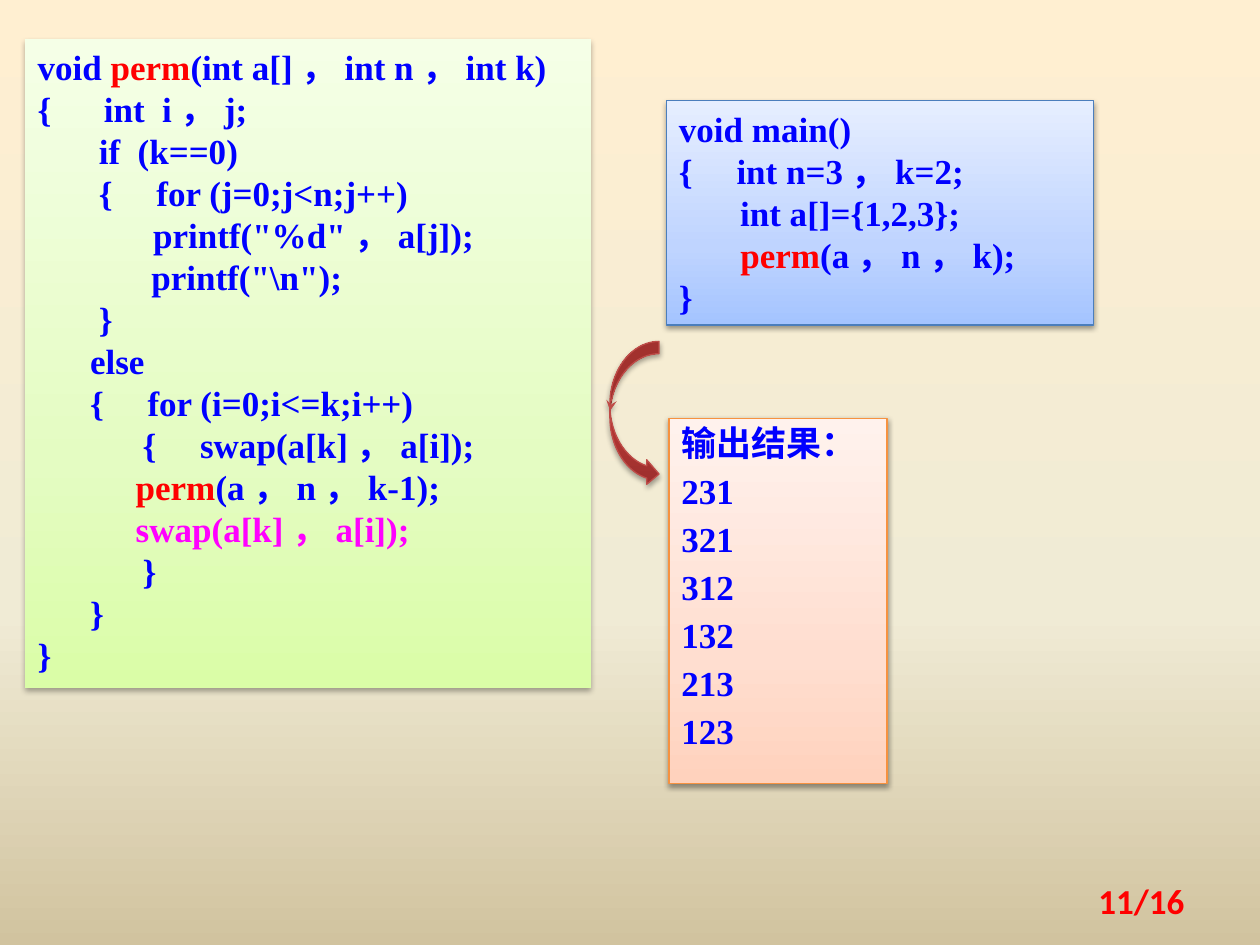
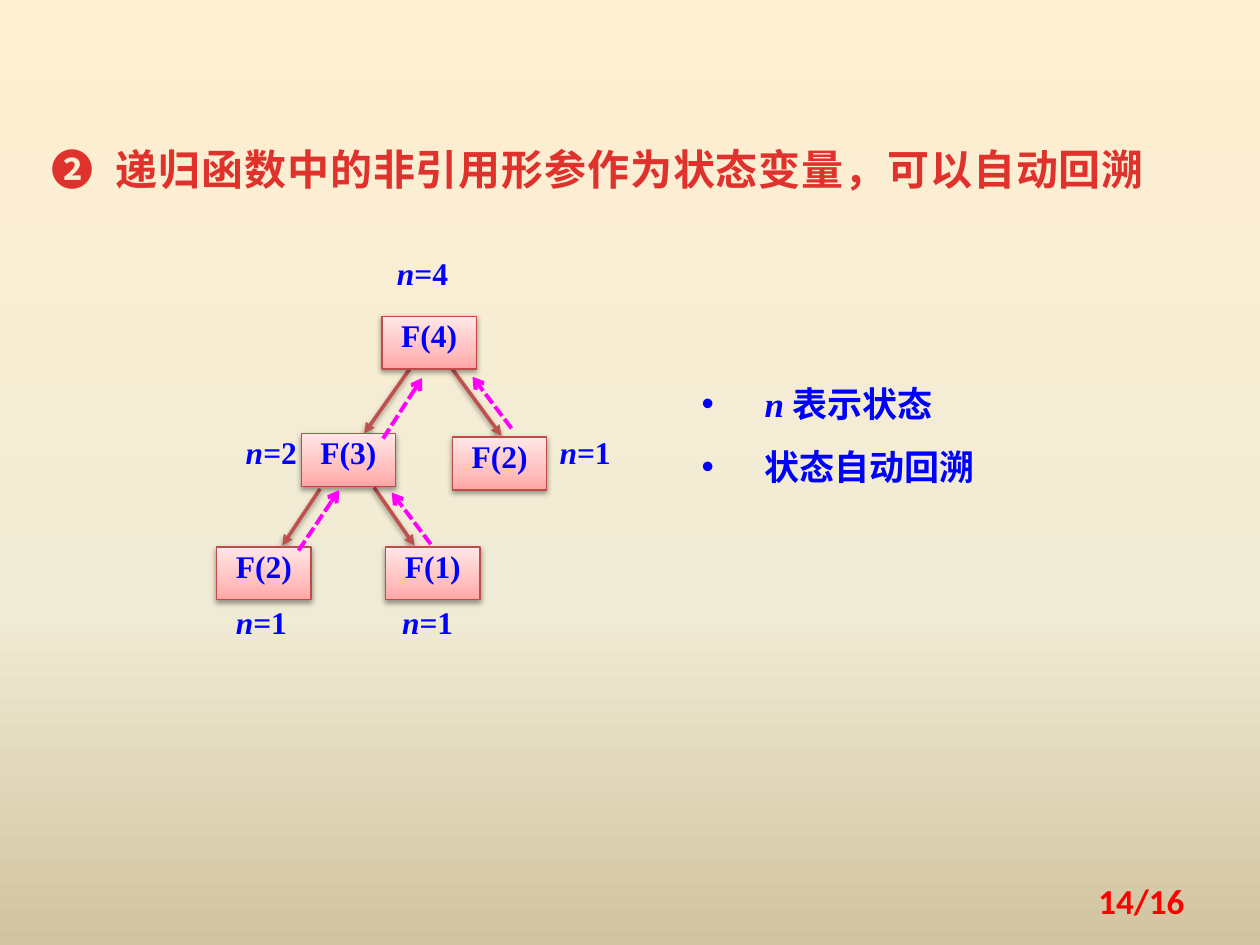
"""Build two slides on recursive permutation and automatic backtracking."""
from dataclasses import dataclass
from typing import Any, NamedTuple, Optional

from lxml.etree import SubElement
from pptx import Presentation
from pptx.dml.color import RGBColor
from pptx.enum.dml import MSO_LINE_DASH_STYLE as Dash
from pptx.enum.shapes import MSO_CONNECTOR as Connector, MSO_SHAPE as Preset
from pptx.enum.text import MSO_ANCHOR as Anchor, PP_ALIGN as Align
from pptx.oxml import parse_xml
from pptx.oxml.ns import nsdecls, qn
from pptx.util import Pt

BLUE = RGBColor(0x00, 0x00, 0xFF)
RED = RGBColor(0xFF, 0x00, 0x00)
MAGENTA = RGBColor(0xFF, 0x00, 0xFF)
TITLE_RED = RGBColor(0xE0, 0x32, 0x2D)
EDGE_RED = RGBColor(0xC0, 0x50, 0x4D)
BORDER_RED = RGBColor(0xBF, 0x4C, 0x48)
BORDER_BLUE = RGBColor(0x4B, 0x7E, 0xBC)
BORDER_ORANGE = RGBColor(0xF6, 0x92, 0x40)
SERIF, SANS, CHINESE = "Times New Roman", "Calibri", "Noto Sans CJK SC"
PAGE_COUNT = 16


class Box(NamedTuple):
    """Left, top, width and height in points."""
    left: float
    top: float
    width: float
    height: float


class Gradient(NamedTuple):
    """Three colours, the place of the middle one, and the angle."""
    first: RGBColor
    middle: RGBColor
    last: RGBColor
    percent: int = 35
    angle: int = 270


class Shadow(NamedTuple):
    """Opacity in percent, blur and downward distance in points."""
    opacity: int = 38
    blur: float = 3.1
    distance: float = 1.6


class Run(NamedTuple):
    """A stretch of text with one colour and slant."""
    text: str
    color: RGBColor = BLUE
    italic: bool = False


class Arrow(NamedTuple):
    """An arrow from its start to its end, in points."""
    start_x: float
    start_y: float
    end_x: float
    end_y: float


class Label(NamedTuple):
    """A caption with its left and top in points."""
    text: str
    left: float
    top: float


@dataclass(frozen=True)
class TextStyle:
    """How the text of a box is set."""
    size: float = 20
    font: str = SERIF
    align: Align = Align.LEFT
    anchor: Anchor = Anchor.TOP
    spacing: Any = 1.0
    space_before: float = 0
    inset_x: float = 7.2
    inset_y: float = 3.6
    hanging: float = 0
    bullet: str = ""
    tracking: int = 0
    wrap: bool = True


@dataclass(frozen=True)
class Panel:
    """A shaded shape, with or without text."""
    box: Box
    fill: Gradient
    border: Optional[RGBColor] = None
    shadow: Shadow = Shadow()
    preset: Preset = Preset.RECTANGLE


BACKGROUND = Gradient(RGBColor(0xFF, 0xEF, 0xD1), RGBColor(0xF0, 0xEB, 0xD5),
                      RGBColor(0xD1, 0xC3, 0x9F), 65, 90)
GREEN_FILL = Gradient(RGBColor(0xDA, 0xFD, 0xA7), RGBColor(0xE4, 0xFC, 0xC2), RGBColor(0xF5, 0xFF, 0xE7))
BLUE_FILL = Gradient(RGBColor(0xA4, 0xC4, 0xFF), RGBColor(0xBF, 0xD4, 0xFF), RGBColor(0xE6, 0xEE, 0xFF))
ORANGE_FILL = Gradient(RGBColor(0xFF, 0xD2, 0xBD), RGBColor(0xFF, 0xDE, 0xD0), RGBColor(0xFF, 0xF2, 0xED))
PINK_FILL = Gradient(RGBColor(0xFF, 0xA6, 0xA5), RGBColor(0xFF, 0xC0, 0xBF), RGBColor(0xFF, 0xE7, 0xE7))
ARROW_FILL = Gradient(RGBColor(0x9C, 0x2F, 0x2D), RGBColor(0xCB, 0x3E, 0x3A), RGBColor(0xCE, 0x3B, 0x37), 80)

CODE_STYLE = TextStyle(spacing=Pt(24))
OUTPUT_STYLE = TextStyle(spacing=0.7, space_before=10.6, inset_y=8.64)
TITLE_STYLE = TextStyle(24, CHINESE, spacing=1.1, hanging=36.8, tracking=50)
NODE_STYLE = TextStyle(18, align=Align.CENTER, spacing=Pt(18))
STATE_STYLE = TextStyle(18, align=Align.CENTER, spacing=1.1, inset_x=0, inset_y=0, wrap=False)
NOTE_STYLE = TextStyle(spacing=1.5, hanging=36, bullet="•")
PAGE_STYLE = TextStyle(font=SANS, align=Align.RIGHT, anchor=Anchor.MIDDLE)

PERM_PANEL = Panel(Box(14.4, 22.3, 323.3, 370.8), GREEN_FILL, shadow=Shadow(32, 3.5, 2.2))
MAIN_PANEL = Panel(Box(380.9, 57.6, 244.1, 128.2), BLUE_FILL, BORDER_BLUE)
OUTPUT_PANEL = Panel(Box(382.3, 239, 124.6, 208.8), ORANGE_FILL, BORDER_ORANGE)
CALL_ARROW = Panel(Box(348.5, 195.1, 28.1, 82.8), ARROW_FILL, BORDER_RED,
                   Shadow(35, 3.1, 1.8), Preset.CURVED_RIGHT_ARROW)
TITLE_BOX = Box(22.3, 75.6, 652.3, 39.6)
NOTE_BOX = Box(393.8, 203, 208.1, 79.9)
PAGE_BOX = Box(516.2, 500.4, 167.8, 28.8)

PERM_CODE = [
    [Run("void "), Run("perm", RED), Run("(int a[]，int n，int k)")],
    [Run("{      int  i，j;")],
    [Run("       if  (k==0)")],
    [Run("       {     for (j=0;j<n;j++)")],
    [Run('\t      printf("%d"，a[j]);')],
    [Run(r'             printf("\n");')],
    [Run("       }")],
    [Run("      else")],
    [Run("      {     for (i=0;i<=k;i++)")],
    [Run("            {     swap(a[k]，a[i]);")],
    [Run("\t    "), Run("perm", RED), Run("(a，n，k-1);")],
    [Run("\t    "), Run("swap(a[k]，a[i]);", MAGENTA)],
    [Run("            }")],
    [Run("      }")],
    [Run("}")],
]
MAIN_CODE = [
    [Run("void main()")],
    [Run("{     int n=3，k=2;")],
    [Run("       int a[]={1,2,3};")],
    [Run("       "), Run("perm", RED), Run("(a，n，k);")],
    [Run("}")],
]
OUTPUT_LINES = ["输出结果：", "231", "321", "312", "132", "213", "123"]

NODE_SIZE, STATE_SIZE = (54, 30.2), (33.8, 23.8)
NODES = [Label("F(2)", 123.8, 312.5), Label("F(1)", 220.3, 312.5), Label("F(3)", 172.1, 247.7),
         Label("F(2)", 258.5, 249.8), Label("F(4)", 218.2, 180.7)]
STATES = [Label("=1", 132.5, 342.7), Label("=1", 227.5, 342.7), Label("=2", 138.2, 245.5),
          Label("=1", 317.5, 245.5), Label("=4", 224.6, 143.3)]
CALLS = [Arrow(182.9, 279.4, 161.3, 311.8), Arrow(213.8, 278.6, 236.9, 311.8),
         Arrow(234, 211, 208.1, 247.7), Arrow(258.5, 211, 286.6, 249.1)]
RETURNS = [Arrow(218.9, 250.6, 241.2, 216), Arrow(170.6, 314.6, 193.7, 280.1),
           Arrow(246.2, 311, 223.9, 281.5), Arrow(292.3, 244.8, 270, 215.3)]


def set_values(target: Any, values: dict[str, Any]) -> None:
    """Set each named attribute of the target."""
    for name, value in values.items():
        setattr(target, name, value)


def paint_gradient(fill: Any, holder: Any, gradient: Gradient) -> None:
    """Fill the holder element with a three-colour gradient."""
    fill.solid()
    solid = next(holder.iter(qn("a:solidFill")))
    places = zip((0, gradient.percent, 100), gradient[:3])
    stops = "".join(f'<a:gs pos="{place * 1000}"><a:srgbClr val="{color}"/></a:gs>' for place, color in places)
    solid.getparent().replace(solid, parse_xml(
        f'<a:gradFill {nsdecls("a")} rotWithShape="1"><a:gsLst>{stops}</a:gsLst>'
        f'<a:lin ang="{gradient.angle * 60000}" scaled="0"/></a:gradFill>'))


def set_shadow(properties: Any, shadow: Optional[Shadow]) -> None:
    """Give shape properties one downward shadow, or none."""
    for effects in properties.findall(qn("a:effectLst")):
        properties.remove(effects)
    effects = SubElement(properties, qn("a:effectLst"))
    if shadow:
        effects.append(parse_xml(
            f'<a:outerShdw {nsdecls("a")} blurRad="{Pt(shadow.blur)}" dist="{Pt(shadow.distance)}" '
            f'dir="5400000" rotWithShape="0"><a:srgbClr val="000000">'
            f'<a:alpha val="{shadow.opacity * 1000}"/></a:srgbClr></a:outerShdw>'))


def set_arrowhead(line: Any, head: str) -> None:
    """Put an arrowhead at the end of a line."""
    SubElement(line._get_or_add_ln(), qn("a:tailEnd")).set("type", head)


def write_text(shape: Any, paragraphs: list[list[Run]], style: TextStyle) -> None:
    """Write paragraphs of runs into a shape."""
    frame = shape.text_frame
    set_values(frame, {"word_wrap": style.wrap, "vertical_anchor": style.anchor,
                       "margin_left": Pt(style.inset_x), "margin_right": Pt(style.inset_x),
                       "margin_top": Pt(style.inset_y), "margin_bottom": Pt(style.inset_y)})
    for index, runs in enumerate(paragraphs):
        paragraph = frame.add_paragraph() if index else frame.paragraphs[0]
        set_values(paragraph, {"alignment": style.align, "line_spacing": style.spacing,
                               "space_before": Pt(style.space_before if index else 0)})
        properties = paragraph._p.get_or_add_pPr()
        if style.hanging:
            properties.set("marL", str(Pt(style.hanging)))
            properties.set("indent", str(-Pt(style.hanging)))
        if style.bullet:
            SubElement(properties, qn("a:buFont")).set("typeface", "Arial")
            SubElement(properties, qn("a:buChar")).set("char", style.bullet)
        for item in runs:
            run = paragraph.add_run()
            run.text = item.text
            set_values(run.font, {"size": Pt(style.size), "name": style.font,
                                  "bold": True, "italic": item.italic})
            run.font.color.rgb = item.color
            if style.tracking:
                run._r.get_or_add_rPr().set("spc", str(style.tracking))


def add_text(slide: Any, box: Box, paragraphs: list[list[Run]], style: TextStyle) -> None:
    """Add a plain text box."""
    write_text(slide.shapes.add_textbox(*map(Pt, box)), paragraphs, style)


def add_panel(slide: Any, panel: Panel) -> Any:
    """Add a shaded shape."""
    shape = slide.shapes.add_shape(panel.preset, *map(Pt, panel.box))
    paint_gradient(shape.fill, shape._element.spPr, panel.fill)
    if panel.border:
        shape.line.color.rgb = panel.border
        shape.line.width = Pt(0.75)
    else:
        shape.line.fill.background()
    set_shadow(shape._element.spPr, panel.shadow)
    return shape


def add_arrow(slide: Any, arrow: Arrow, color: RGBColor, width: float, head: str,
              dash: Optional[Dash] = None, shadow: Optional[Shadow] = None) -> None:
    """Add a straight arrow."""
    connector = slide.shapes.add_connector(Connector.STRAIGHT, *map(Pt, arrow))
    connector.line.color.rgb = color
    set_values(connector.line, {"width": Pt(width), "dash_style": dash})
    set_arrowhead(connector.line, head)
    set_shadow(connector._element.spPr, shadow)


def add_slide(presentation: Any, page: int) -> Any:
    """Add a blank slide with the shared background and page number."""
    slide = presentation.slides.add_slide(presentation.slide_layouts[6])
    paint_gradient(slide.background.fill, slide._element, BACKGROUND)
    add_text(slide, PAGE_BOX, [[Run(f"{page}/{PAGE_COUNT}", RED)]], PAGE_STYLE)
    return slide


def build_code_slide(presentation: Any) -> None:
    """Show the permutation code, its caller and its output."""
    slide = add_slide(presentation, 11)
    output = [[Run(line)] for line in OUTPUT_LINES]
    for panel, paragraphs, style in ((PERM_PANEL, PERM_CODE, CODE_STYLE), (MAIN_PANEL, MAIN_CODE, CODE_STYLE),
                                     (OUTPUT_PANEL, output, OUTPUT_STYLE)):
        write_text(add_panel(slide, panel), paragraphs, style)
    set_arrowhead(add_panel(slide, CALL_ARROW).line, "stealth")


def build_tree_slide(presentation: Any) -> None:
    """Show the recursion tree with its states and returns."""
    slide = add_slide(presentation, 14)
    add_text(slide, TITLE_BOX, [[Run("❷\t递归函数中的非引用形参作为状态变量，可以自动回溯", TITLE_RED)]], TITLE_STYLE)
    for call in CALLS:
        add_arrow(slide, call, EDGE_RED, 2, "triangle", shadow=Shadow())
    for node in NODES:
        panel = Panel(Box(node.left, node.top, *NODE_SIZE), PINK_FILL, BORDER_RED)
        write_text(add_panel(slide, panel), [[Run(node.text)]], NODE_STYLE)
    for state in STATES:
        add_text(slide, Box(state.left, state.top, *STATE_SIZE),
                 [[Run("n", italic=True), Run(state.text)]], STATE_STYLE)
    for way_back in RETURNS:
        add_arrow(slide, way_back, MAGENTA, 2.25, "arrow", Dash.SQUARE_DOT)
    add_text(slide, NOTE_BOX, [[Run("n", italic=True), Run("表示状态")], [Run("状态自动回溯")]], NOTE_STYLE)


def main() -> None:
    """Build and save the presentation."""
    presentation = Presentation()
    set_values(presentation, {"slide_width": Pt(720), "slide_height": Pt(540)})
    build_code_slide(presentation)
    build_tree_slide(presentation)
    presentation.save("out.pptx")


if __name__ == "__main__":
    main()
